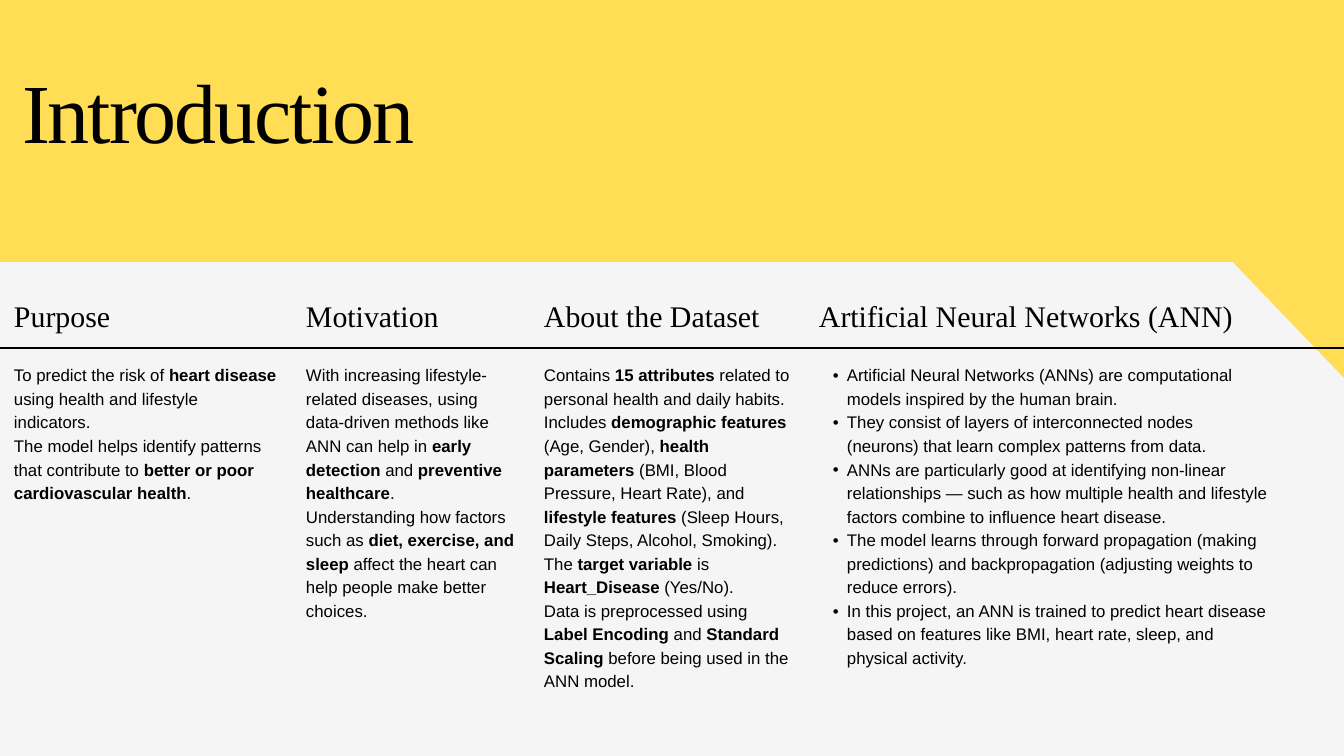
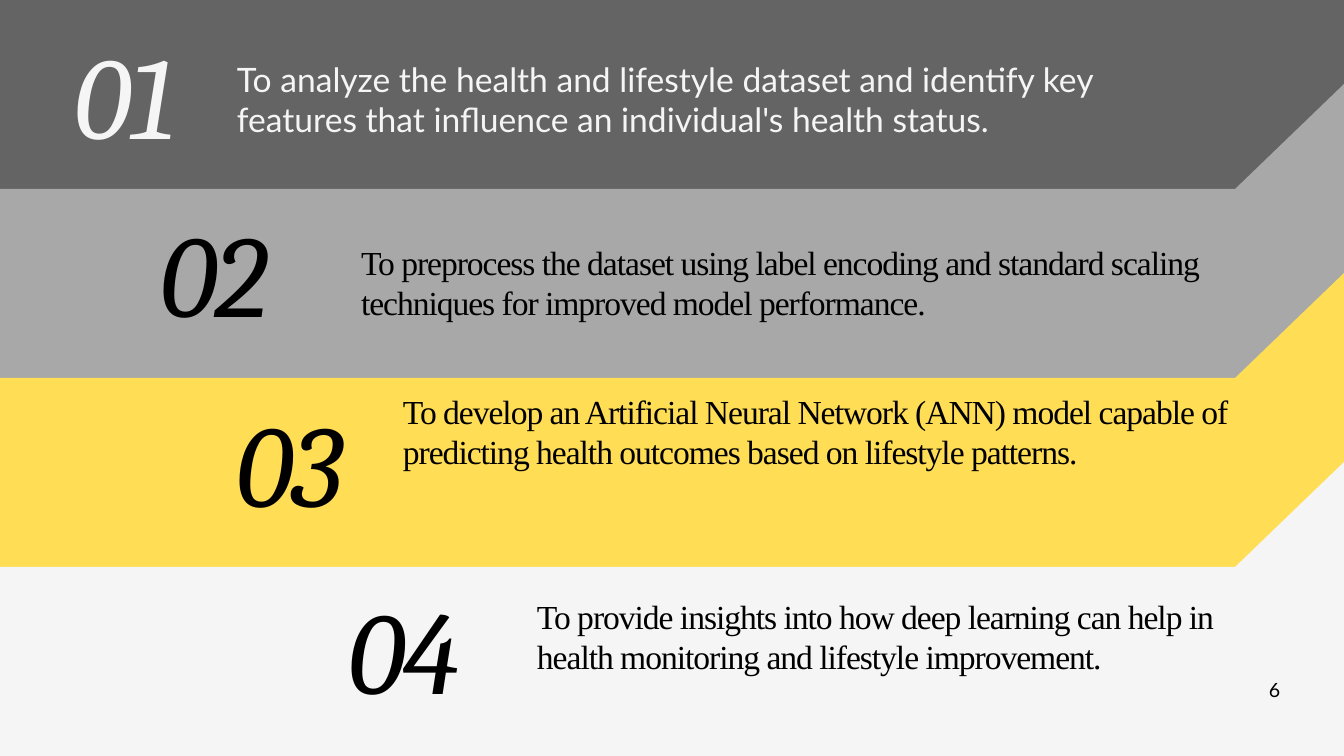
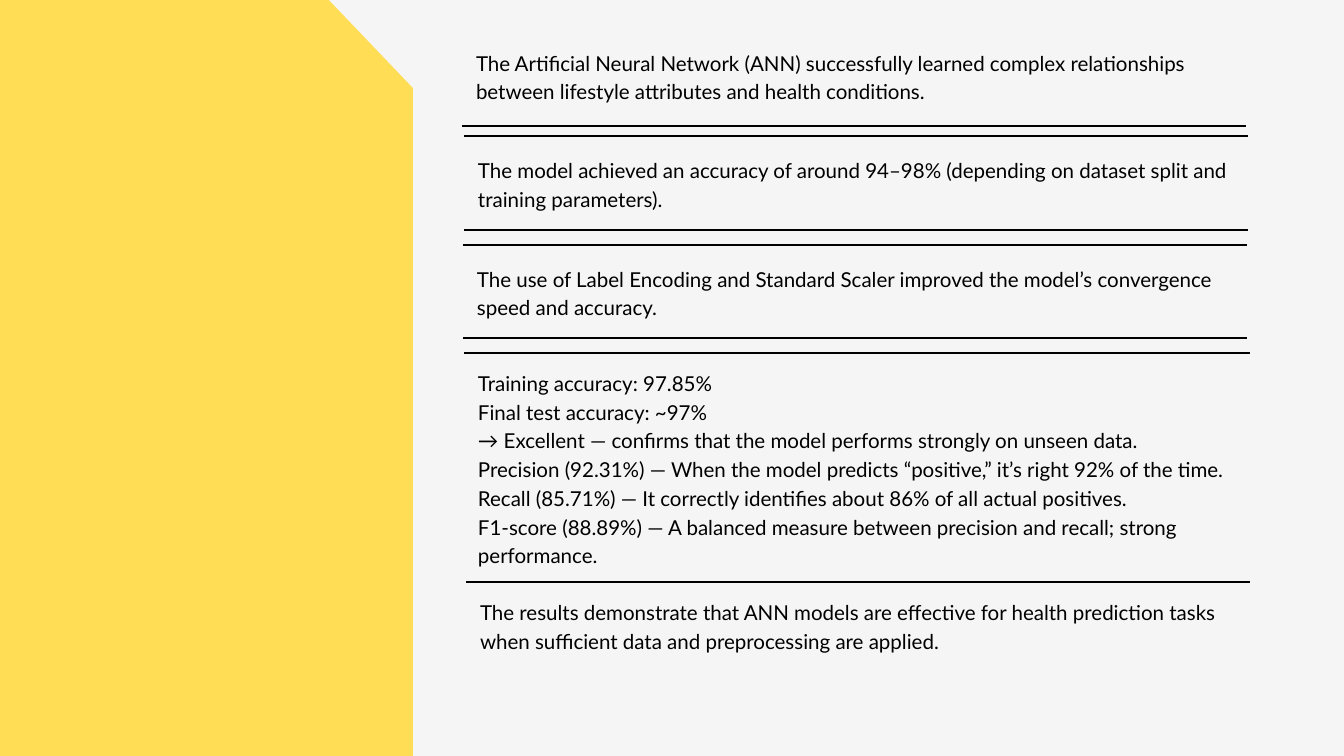
from dataclasses import dataclass
from itertools import accumulate

from lxml import etree
from pptx import Presentation
from pptx.dml.color import RGBColor
from pptx.enum.shapes import MSO_SHAPE
from pptx.enum.text import MSO_ANCHOR, MSO_AUTO_SIZE, PP_ALIGN
from pptx.oxml.ns import qn
from pptx.util import Emu, Pt

RECT = MSO_SHAPE.RECTANGLE
TOP, MIDDLE, BOTTOM = MSO_ANCHOR.TOP, MSO_ANCHOR.MIDDLE, MSO_ANCHOR.BOTTOM
LEFT, CENTER = PP_ALIGN.LEFT, PP_ALIGN.CENTER
NO_FIT = MSO_AUTO_SIZE.NONE
WIDE, HIGH = 1344, 756
SCALE = 18288000 / WIDE


@dataclass(frozen=True)
class Type:
    font: str
    size: float
    line: float
    color: str = "000000"
    track: float = 0
    italic: bool = False


class Theme:
    pale, yellow, dark, gray, ink = "F5F5F5", "FFDD54", "646464", "A8A8A8", "000000"
    pad, rule = 14, 1.5
    title = Type("Times New Roman", 90, 94.5, track=-2.2)
    head = Type("Times New Roman", 32, 44.8)
    body = Type("Arial", 18, 25.2)
    lead = Type("Lato", 36, 43.2, pale)
    goal = Type("Times New Roman", 36, 43.2, track=-1.1)
    count = Type("Cambria", 125.1, 131.3, track=-3.1, italic=True)
    count_pale = Type("Cambria", 125.1, 131.3, pale, -3.1, True)
    result = Type("Lato", 22, 30.8)
    page = Type("Lato", 21, 29.4)


# Asterisk pairs mark bold words.
TITLE = "Introduction"
TOPICS = [
    ("Purpose", 292, False, [
        "To predict the risk of **heart disease** using health and lifestyle indicators.",
        "The model helps identify patterns that contribute to "
        "**better or poor cardiovascular health**.",
    ]),
    ("Motivation", 238, False, [
        "With increasing lifestyle-related diseases, using data-driven methods like ANN "
        "can help in **early detection** and **preventive healthcare**.",
        "Understanding how factors such as **diet, exercise, and sleep** affect the heart "
        "can help people make better choices.",
    ]),
    ("About the Dataset", 275, False, [
        "Contains **15 attributes** related to personal health and daily habits.",
        "Includes **demographic features** (Age, Gender), **health parameters** (BMI, Blood "
        "Pressure, Heart Rate), and **lifestyle features** (Sleep Hours, Daily Steps, "
        "Alcohol, Smoking).",
        "The **target variable** is **Heart_Disease** (Yes/No).",
        "Data is preprocessed using **Label Encoding** and **Standard Scaling** before being "
        "used in the ANN model.",
    ]),
    ("Artificial Neural Networks (ANN)", 477, True, [
        "Artificial Neural Networks (ANNs) are computational models inspired by the human "
        "brain.",
        "They consist of layers of interconnected nodes (neurons) that learn complex patterns "
        "from data.",
        "ANNs are particularly good at identifying non-linear relationships — such as how "
        "multiple health and lifestyle factors combine to influence heart disease.",
        "The model learns through forward propagation (making predictions) and "
        "backpropagation (adjusting weights to reduce errors).",
        "In this project, an ANN is trained to predict heart disease based on features like "
        "BMI, heart rate, sleep, and physical activity.",
    ]),
    ("", 36, False, []),
    ("", 321, False, []),
]

# Band colour, number type and box, text type and box, text
GOALS = [
    (Theme.dark, Theme.count_pale, (75, 40, 130, 145), Theme.lead, (237, 59, 954, 85),
     "To analyze the health and lifestyle dataset and identify key features that influence "
     "an individual's health status."),
    (Theme.gray, Theme.count, (160, 218, 132, 145), Theme.goal, (361, 242, 873, 85),
     "To preprocess the dataset using label encoding and standard scaling techniques for "
     "improved model performance."),
    (Theme.yellow, Theme.count, (237, 408, 124, 145), Theme.goal, (403, 391, 832, 165),
     "To develop an Artificial Neural Network (ANN) model capable of predicting health "
     "outcomes based on lifestyle patterns."),
    (Theme.pale, Theme.count, (348, 595, 133, 145), Theme.goal, (537, 596, 698, 125),
     "To provide insights into how deep learning can help in health monitoring and "
     "lifestyle improvement."),
]
PAGE = "6"

# Box, ruled sides (T top, B bottom), paragraphs
RESULTS = [
    ((462, 25, 784, 101), "B", [
        "The Artificial Neural Network (ANN) successfully learned complex relationships "
        "between lifestyle attributes and health conditions."]),
    ((464, 136, 784, 94), "TB", [
        "The model achieved an accuracy of around 94–98% (depending on dataset split and "
        "training parameters)."]),
    ((463, 245, 784, 93), "TB", [
        "The use of Label Encoding and Standard Scaler improved the model’s convergence "
        "speed and accuracy."]),
    ((464, 353, 786, 229), "T", [
        "Training accuracy: 97.85%",
        "Final test accuracy: ~97%",
        "→ Excellent — confirms that the model performs strongly on unseen data.",
        "Precision (92.31%) — When the model predicts “positive,” it’s right 92% of the time.",
        "Recall (85.71%) — It correctly identifies about 86% of all actual positives.",
        "F1-score (88.89%) — A balanced measure between precision and recall; strong "
        "performance."]),
    ((466, 582, 784, 78), "T", [
        "The results demonstrate that ANN models are effective for health prediction tasks "
        "when sufficient data and preprocessing are applied."]),
]


def px(n):
    return Emu(round(n * SCALE))


def place(box):
    return [px(n) for n in box]


def paint(shape, color):
    shape.shadow.inherit = False
    shape.fill.solid()
    shape.fill.fore_color.rgb = RGBColor.from_string(color)
    shape.line.fill.background()


def band(slide, box, color):
    paint(slide.shapes.add_shape(RECT, *place(box)), color)


def wedge(slide, points, color):
    pen = slide.shapes.build_freeform(*points[0], scale=SCALE)
    pen.add_line_segments(points[1:], close=True)
    paint(pen.convert_to_shape(), color)


def bullet(para):
    para.level = 1
    props = para._p.get_or_add_pPr()
    props.set("marL", str(px(2 * Theme.pad)))
    props.set("indent", str(-px(Theme.pad)))
    etree.SubElement(props, qn("a:buFont"), typeface="Arial")
    etree.SubElement(props, qn("a:buChar"), char="•")


def write(frame, texts, kind, align=LEFT, dots=False):
    """Fill a text frame, one paragraph per text, with ** around bold words."""
    for i, text in enumerate(texts):
        para = frame.add_paragraph() if i else frame.paragraphs[0]
        if dots:
            bullet(para)
        para.alignment = align
        para.line_spacing = Pt(kind.line)
        for j, part in enumerate(text.split("**")):
            if not part:
                continue
            run = para.add_run()
            run.text = part
            font = run.font
            font.name, font.size = kind.font, Pt(kind.size)
            font.bold, font.italic = j % 2 == 1, kind.italic
            font.color.rgb = RGBColor.from_string(kind.color)
            if kind.track:
                run._r.get_or_add_rPr().set("spc", str(round(kind.track * 100)))


def fit(shape, text, kind, align=LEFT, wrap=True):
    """Write into a shape with no insets, from the top."""
    frame = shape.text_frame
    frame.margin_left = frame.margin_top = frame.margin_right = frame.margin_bottom = 0
    frame.auto_size, frame.vertical_anchor = NO_FIT, TOP
    frame.word_wrap = wrap
    write(frame, [text], kind, align)


def label(slide, box, text, kind, **opts):
    fit(slide.shapes.add_textbox(*place(box)), text, kind, **opts)


def grid(slide, left, top, cols, rows):
    box = place((left, top, sum(cols), sum(rows)))
    table = slide.shapes.add_table(len(rows), len(cols), *box).table
    table.first_row = table.horz_banding = False
    for col, size in zip(table.columns, cols):
        col.width = px(size)
    for row, size in zip(table.rows, rows):
        row.height = px(size)
    return table


def fill_cell(cell, texts, kind, sides, anchor, dots=False):
    props = cell._tc.get_or_add_tcPr()
    for side in "LRTB":
        line = etree.SubElement(props, qn("a:ln" + side))
        if side in sides:
            line.set("w", str(Pt(Theme.rule)))
            fill = etree.SubElement(line, qn("a:solidFill"))
            etree.SubElement(fill, qn("a:srgbClr"), val=Theme.ink)
        else:
            etree.SubElement(line, qn("a:noFill"))
    cell.fill.background()
    cell.margin_left = cell.margin_right = px(Theme.pad)
    cell.margin_top = cell.margin_bottom = px(Theme.pad)
    cell.vertical_anchor = anchor
    write(cell.text_frame, texts, kind, dots=dots)


def intro(slide):
    band(slide, (0, 0, WIDE, 262), Theme.yellow)
    wedge(slide, [(1228, 257), (WIDE, 257), (WIDE, 378)], Theme.yellow)
    table = grid(slide, 0, 266, [topic[1] for topic in TOPICS], [82, 356])
    for i, (head, _, dots, texts) in enumerate(TOPICS):
        fill_cell(table.cell(0, i), [head], Theme.head, "B", BOTTOM)
        fill_cell(table.cell(1, i), texts, Theme.body, "T", TOP, dots)
    title = slide.shapes.title
    title.left, title.top, title.width, title.height = place((22, 72, 523, 103))
    fit(title, TITLE, Theme.title)
    # The placeholder comes first, so lift it above the band.
    slide.shapes._spTree.append(title._element)


def goals(slide):
    step = HIGH // len(GOALS)
    tops = accumulate([step] * (len(GOALS) - 1), initial=0)
    for top, (color, *_) in zip(tops, GOALS):
        band(slide, (0, top, WIDE, step), color)
        if top:
            wedge(slide, [(WIDE, top - 105), (WIDE, top + 1), (1234, top + 1)], color)
    for i, (_, count, spot, kind, box, text) in enumerate(GOALS, 1):
        label(slide, box, text, kind)
        label(slide, spot, f"{i:02}", count)
    label(slide, (1269, 674, 11, 17), PAGE, Theme.page, align=CENTER, wrap=False)


def results(slide):
    band(slide, (0, 0, 413, HIGH), Theme.yellow)
    wedge(slide, [(329, 0), (414, 0), (414, 89)], Theme.pale)
    for (left, top, wide, high), sides, texts in RESULTS:
        table = grid(slide, left, top, [wide], [high])
        fill_cell(table.cell(0, 0), texts, Theme.result, sides, MIDDLE)


def main():
    deck = Presentation()
    deck.slide_width, deck.slide_height = px(WIDE), px(HIGH)
    back = deck.slide_master.background.fill
    back.solid()
    back.fore_color.rgb = RGBColor.from_string(Theme.pale)
    titled, blank = deck.slide_layouts[5], deck.slide_layouts[6]
    for layout, build in [(titled, intro), (blank, goals), (blank, results)]:
        build(deck.slides.add_slide(layout))
    deck.save("out.pptx")


if __name__ == "__main__":
    main()
